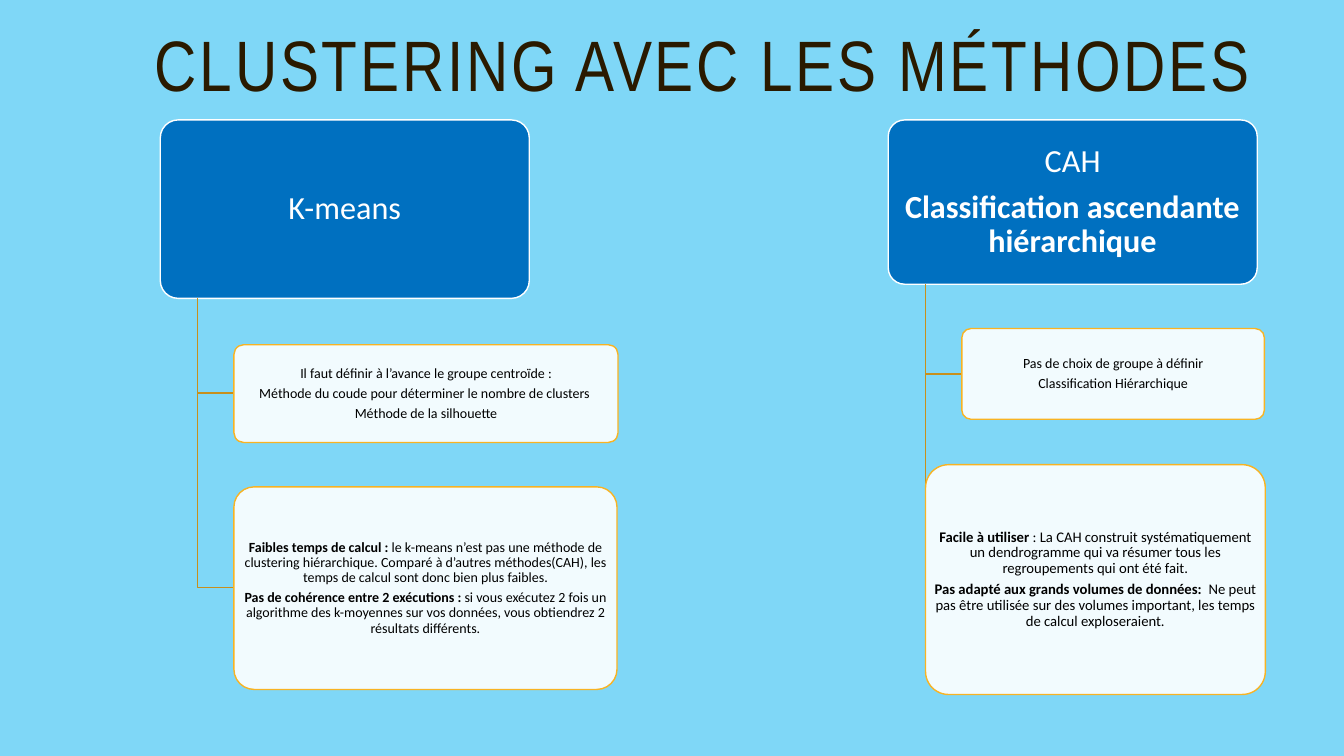
from lxml.etree import SubElement
from pptx import Presentation
from pptx.dml.color import RGBColor
from pptx.enum.shapes import MSO_CONNECTOR as CONNECTOR, MSO_SHAPE as SHAPE
from pptx.enum.text import MSO_ANCHOR as ANCHOR, MSO_AUTO_SIZE as AUTO_SIZE, PP_ALIGN as ALIGN
from pptx.oxml.ns import qn
from pptx.util import Emu, Pt

PX = 9144  # 100 px to the inch

SKY = RGBColor(0x7F, 0xD7, 0xF7)
BLUE = RGBColor(0x00, 0x70, 0xC0)
WHITE = RGBColor(0xFF, 0xFF, 0xFF)
BLACK = RGBColor(0x00, 0x00, 0x00)
BROWN = RGBColor(0x2A, 0x1A, 0x00)
GOLD = RGBColor(0xF8, 0xB3, 0x23)
OCHRE = RGBColor(0xC7, 0x8F, 0x1C)

# Each paragraph is a list of (text, bold) runs; boxes are left, top, width, height.
KMEANS = {
    "root": ((159, 119, 366, 177), [[("K-means", False)]]),
    "children": [
        ((232, 342, 381, 97), 10, [
            [("Il faut définir à l’avance le groupe centroïde :", False)],
            [("Méthode du coude pour déterminer le nombre de clusters ", False)],
            [("Méthode de la silhouette", False)],
        ]),
        ((232, 483, 380, 201), 10, [
            [("Faibles temps de calcul : ", True),
             ("le k-means n’est pas une méthode de clustering hiérarchique. Comparé à "
              "d’autres méthodes(CAH), les temps de calcul sont donc bien plus faibles.", False)],
            [("Pas de cohérence entre 2 exécutions : ", True),
             ("si vous exécutez 2 fois un algorithme des k-moyennes sur vos données, "
              "vous obtiendrez 2 résultats différents.", False)],
        ]),
    ],
}
CAH = {
    "root": ((881, 119, 366, 163), [
        [("CAH", False)],
        [("Classification ascendante hiérarchique", True)],
    ]),
    "children": [
        ((954, 326, 300, 90), 10, [
            [("Pas de choix de groupe à définir", False)],
            [("Classification Hiérarchique", False)],
        ]),
        ((918, 461, 337, 228), 10.5, [
            [("Facile à utiliser ", True),
             (": La CAH construit systématiquement un dendrogramme qui va résumer tous "
              "les regroupements qui ont été fait.", False)],
            [("Pas adapté aux grands volumes de données:  ", True),
             ("Ne peut pas être utilisée sur des volumes important, les temps de calcul "
              "exploseraient.", False)],
        ]),
    ],
}


def px(*lengths):
    return [Emu(n * PX) for n in lengths]


def write(tf, paragraphs, *, size, color, font="Calibri", after=0, spacing=0,
          anchor=ANCHOR.MIDDLE, inset=(0, 0)):
    tf.word_wrap = True
    tf.auto_size = AUTO_SIZE.NONE
    tf.vertical_anchor = anchor
    tf.margin_left = tf.margin_right = Emu(inset[0] * PX)
    tf.margin_top = tf.margin_bottom = Emu(inset[1] * PX)
    for i, runs in enumerate(paragraphs):
        p = tf.add_paragraph() if i else tf.paragraphs[0]
        p.alignment = ALIGN.CENTER
        p.line_spacing = 0.9
        p.space_before = Pt(0)
        p.space_after = Pt(after)
        for text, bold in runs:
            r = p.add_run()
            r.text = text
            r.font.name, r.font.size, r.font.bold = font, Pt(size), bold
            r.font.color.rgb = color
            if spacing:
                r.font._element.set("spc", str(spacing * 100))


def add_title(s, box):
    title = s.shapes.title
    title.left, title.top, title.width, title.height = px(*box)
    write(title.text_frame, [[("CLUSTERING AVEC LES MÉTHODES", False)]], size=51,
          color=BROWN, font="Arial Narrow", spacing=2, anchor=ANCHOR.TOP, inset=(0, 5))


def add_card(s, box, paragraphs, *, fill, line, color, size, inset, opacity=100):
    sp = s.shapes.add_shape(SHAPE.ROUNDED_RECTANGLE, *px(*box))
    sp.adjustments[0] = 0.1
    sp.shadow.inherit = False
    sp.fill.solid()
    sp.fill.fore_color.rgb = fill
    if opacity < 100:
        rgb = sp._element.spPr.find(qn("a:solidFill")).find(qn("a:srgbClr"))
        SubElement(rgb, qn("a:alpha")).set("val", str(opacity * 1000))
    sp.line.color.rgb = line
    sp.line.width = Pt(1)
    write(sp.text_frame, paragraphs, size=size, color=color, after=0.35 * size, inset=inset)


def add_branch(s, x, top, child_box):
    """Line from the root's bottom edge to the middle of the child's left edge."""
    left, child_top, _, height = child_box
    middle = child_top + height // 2
    if left == x:
        sp = s.shapes.add_connector(CONNECTOR.STRAIGHT, *px(x, top, x, middle))
        SubElement(sp._element.spPr, qn("a:effectLst"))
    else:
        builder = s.shapes.build_freeform(x, top, scale=PX)
        builder.add_line_segments([(x, middle), (left, middle)], close=False)
        sp = builder.convert_to_shape()
        sp.shadow.inherit = False
        sp.fill.background()
    sp.line.color.rgb = OCHRE
    sp.line.width = Pt(1)


def add_tree(s, tree):
    root_box, root_text = tree["root"]
    left, top, width, height = root_box
    trunk = left + round(width / 10)
    add_card(s, root_box, root_text, fill=BLUE, line=WHITE, color=WHITE, size=23, inset=(5, 3))
    for box, size, text in tree["children"]:
        add_branch(s, trunk, top + height, box)
        add_card(s, box, text, fill=WHITE, line=GOLD, color=BLACK, size=size,
                 inset=(2, 1), opacity=90)


def main():
    prs = Presentation()
    prs.slide_width, prs.slide_height = px(1333, 750)
    s = prs.slides.add_slide(prs.slide_layouts[5])
    s.background.fill.solid()
    s.background.fill.fore_color.rgb = SKY
    add_title(s, (141, 25, 1113, 163))
    for tree in (KMEANS, CAH):
        add_tree(s, tree)
    prs.save("out.pptx")


if __name__ == "__main__":
    main()
